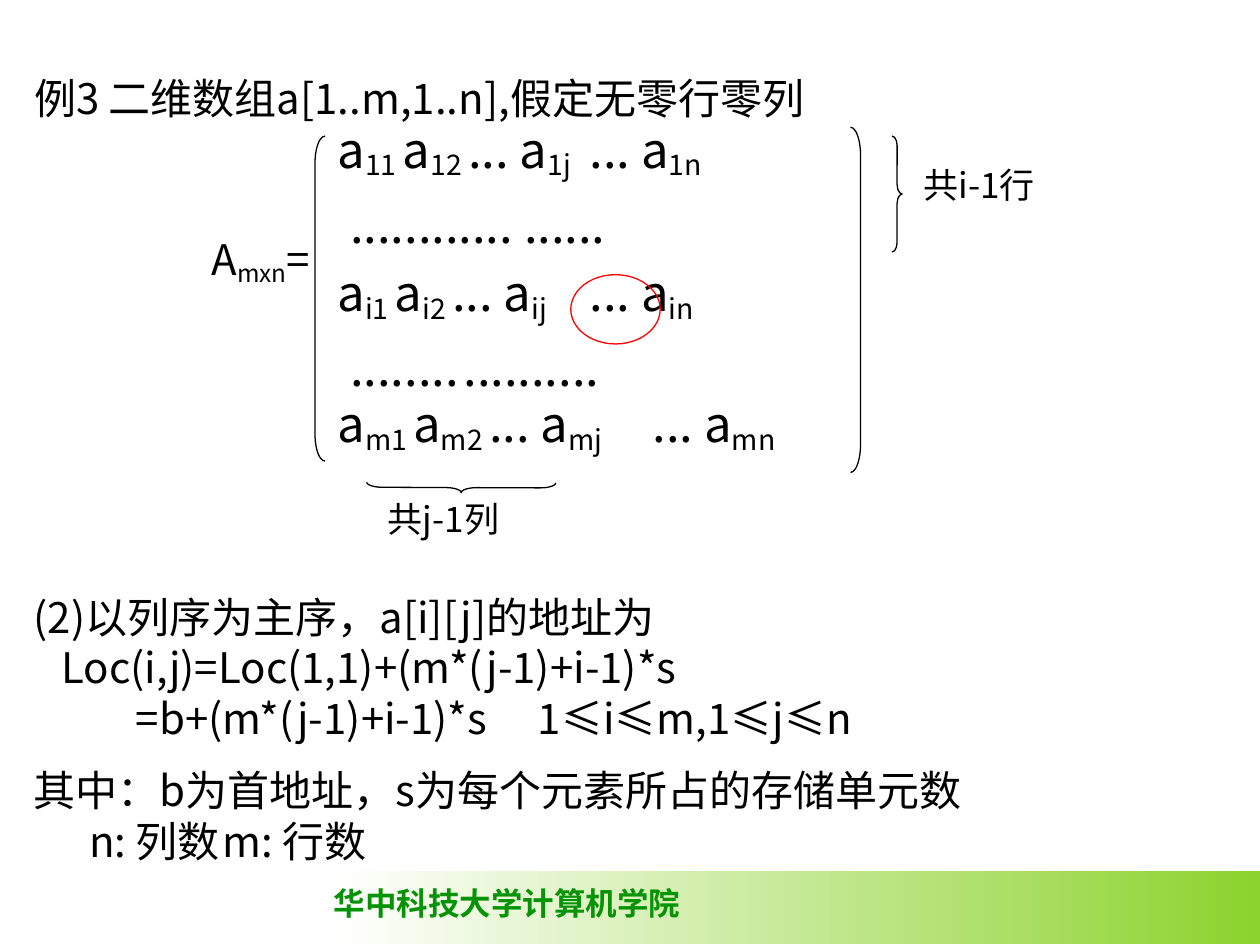
import pptx
import pptx.util
import pptx.dml.color
import pptx.enum.shapes
import pptx.enum.text
import pptx.oxml.ns
from lxml import etree

Inches = pptx.util.Inches
Pt = pptx.util.Pt
RGBColor = pptx.dml.color.RGBColor
MSO_SHAPE = pptx.enum.shapes.MSO_SHAPE
qn = pptx.oxml.ns.qn

BLACK = RGBColor(0x00, 0x00, 0x00)
WHITE = RGBColor(0xFF, 0xFF, 0xFF)
RED = RGBColor(0xFF, 0x00, 0x00)
LIME = RGBColor(0x8C, 0xD3, 0x2D)
GREEN = RGBColor(0x06, 0x94, 0x06)
FONT = "Noto Sans CJK SC"


def write_lines(frame, lines, size):
    """Lines are (text, first indent, tab stop, space before); | toggles subscript."""
    frame.word_wrap = True
    for number, (text, indent, tab, before) in enumerate(lines):
        paragraph = frame.paragraphs[0] if number == 0 else frame.add_paragraph()
        properties = paragraph._p.get_or_add_pPr()
        properties.set("marL", "0")
        properties.set("indent", str(Inches(indent)))
        etree.SubElement(properties, qn("a:buNone"))
        if tab:
            tab_list = etree.SubElement(properties, qn("a:tabLst"))
            etree.SubElement(tab_list, qn("a:tab"), pos=str(Inches(tab)), algn="l")
        paragraph.line_spacing = Pt(round(size * 1.2))
        paragraph.space_before = Pt(before)
        paragraph.font.name = FONT
        paragraph.font.size = Pt(size)
        paragraph.font.color.rgb = BLACK
        for position, part in enumerate(text.split("|")):
            if part:
                run = paragraph.add_run()
                run.text = part
                if position % 2:
                    run._r.get_or_add_rPr().set("baseline", "-16000")


presentation = pptx.Presentation()
presentation.slide_width = Inches(10)
presentation.slide_height = Inches(7.5)
slide = presentation.slides.add_slide(presentation.slide_layouts[1])
shapes = slide.shapes
title = shapes.title
title._element.getparent().remove(title._element)

# Footer band and school name
band = shapes.add_shape(MSO_SHAPE.RECTANGLE, Inches(2.67), Inches(6.91), Inches(7.33), Inches(0.58))
band.shadow.inherit = False
band.line.fill.background()
band.fill.gradient()
band.fill.gradient_angle = 0
for stop, color in zip(band.fill.gradient_stops, (WHITE, LIME)):
    stop.color.rgb = color

footer = shapes.add_textbox(Inches(2.55), Inches(6.97), Inches(2.95), Inches(0.4))
footer.text_frame.word_wrap = False
paragraph = footer.text_frame.paragraphs[0]
paragraph.text = "华中科技大学计算机学院"
paragraph.font.name = "Times New Roman"
paragraph.font.size = Pt(18)
paragraph.font.bold = True
paragraph.font.color.rgb = GREEN

# Example heading
body = slide.placeholders[1]
body.left, body.top, body.width, body.height = Inches(0.17), Inches(0.52), Inches(9.58), Inches(6.73)
body.text_frame.vertical_anchor = pptx.enum.text.MSO_ANCHOR.TOP
write_lines(body.text_frame, [("例3 二维数组a[1..m,1..n],假定无零行零列", 0, 0, 0)], 24)

# Matrix, labels and address formula
matrix_rows = [
    ("a|11 |a|12 |... a|1j|\t... a|1n", 0, 1.96, 0),
    ("............ ......", 0.1, 0, 7),
    ("a|i1 |a|i2 |... a|ij|\t... a|in", 0, 1.78, 7),
    ("........\t..........", 0.1, 1.14, 7),
    ("a|m1 |a|m2 |... a|mj|\t... a|mn", 0, 2.22, 0),
]
formula_lines = [
    ("(2)以列序为主序，a[i][j]的地址为", 0, 0, 0),
    ("Loc(i,j)=Loc(1,1)+(m*(j-1)+i-1)*s", 0.22, 0, 0),
    ("=b+(m*(j-1)+i-1)*s\t1≤i≤m,1≤j≤n", 0.81, 4.13, 0),
    ("其中：b为首地址，s为每个元素所占的存储单元数", 0, 0, 12),
    ("n: 列数\tm: 行数", 0.44, 1.86, 0),
]
for left, top, width, height, size, lines in [
    (2.58, 0.92, 4.58, 2.82, 28, matrix_rows),
    (1.58, 1.83, 1.05, 0.93, 24, [("A|mxn|=", 0, 0, 0)]),
    (0.17, 4.64, 9.17, 2.27, 24, formula_lines),
    (7.23, 1.25, 1.1, 0.77, 20, [("共i-1行", 0, 0, 0)]),
    (2.98, 3.9, 1.1, 0.77, 20, [("共j-1列", 0, 0, 0)]),
]:
    box = shapes.add_textbox(Inches(left), Inches(top), Inches(width), Inches(height))
    write_lines(box.text_frame, lines, size)

# Matrix brackets, counting braces and the ring around the row end
for kind, left, top, width, height, bend, rotation, color in [
    (MSO_SHAPE.LEFT_BRACKET, 2.5, 1.08, 0.08, 2.58, 2.7, 0, BLACK),
    (MSO_SHAPE.RIGHT_BRACKET, 6.75, 1.01, 0.08, 2.74, 2.85, 0, BLACK),
    (MSO_SHAPE.RIGHT_BRACE, 7.08, 1.08, 0.08, 0.92, 0.95, 0, BLACK),
    (MSO_SHAPE.RIGHT_BRACE, 3.62, 3.12, 0.08, 1.5, 1.56, 90.2, BLACK),
    (MSO_SHAPE.OVAL, 4.53, 2.18, 0.71, 0.55, None, 0, RED),
]:
    mark = shapes.add_shape(kind, Inches(left), Inches(top), Inches(width), Inches(height))
    mark.shadow.inherit = False
    mark.fill.background()
    mark.line.color.rgb = color
    mark.line.width = Pt(0.75)
    mark.rotation = rotation
    if bend:
        mark.adjustments[0] = bend

presentation.save("out.pptx")
